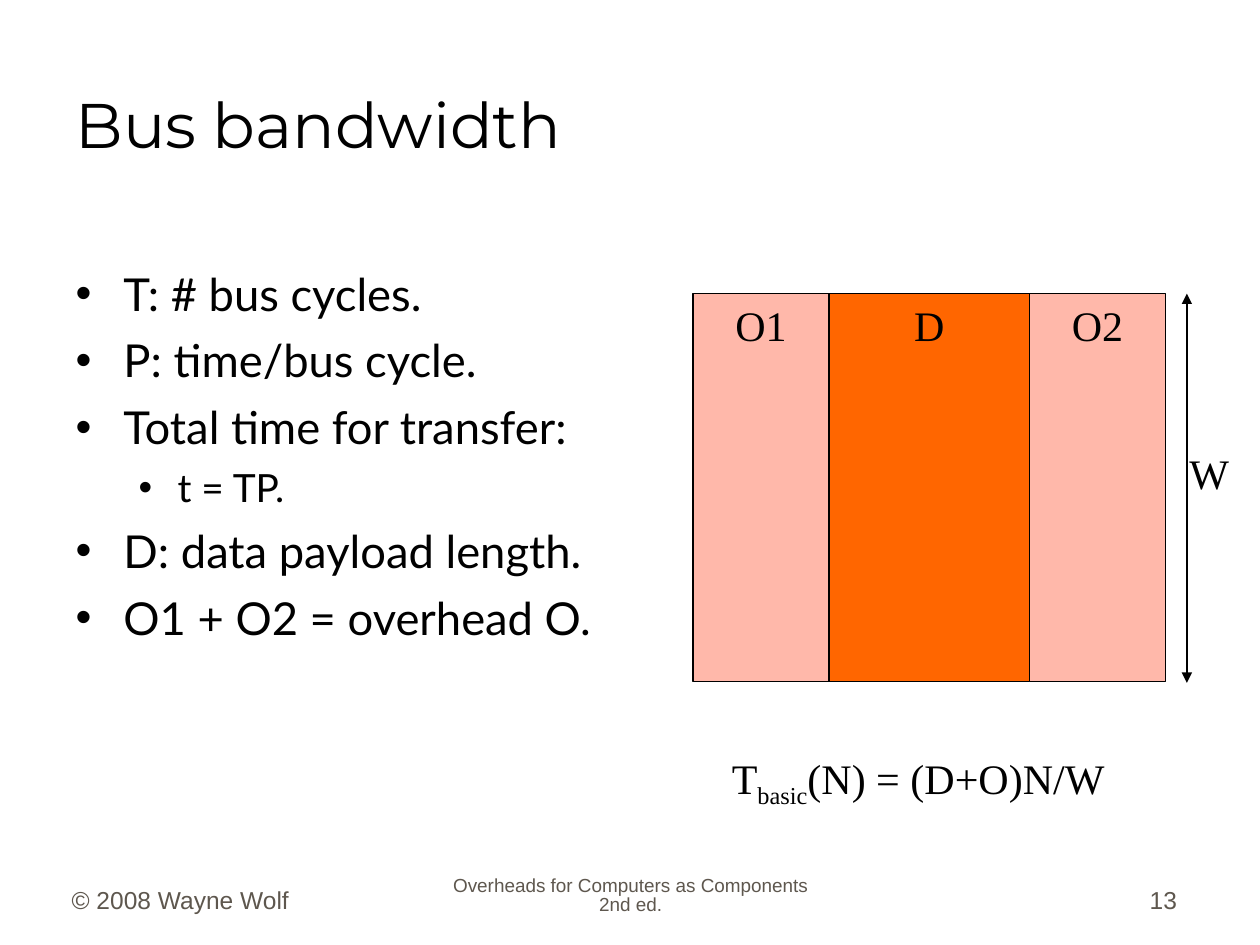
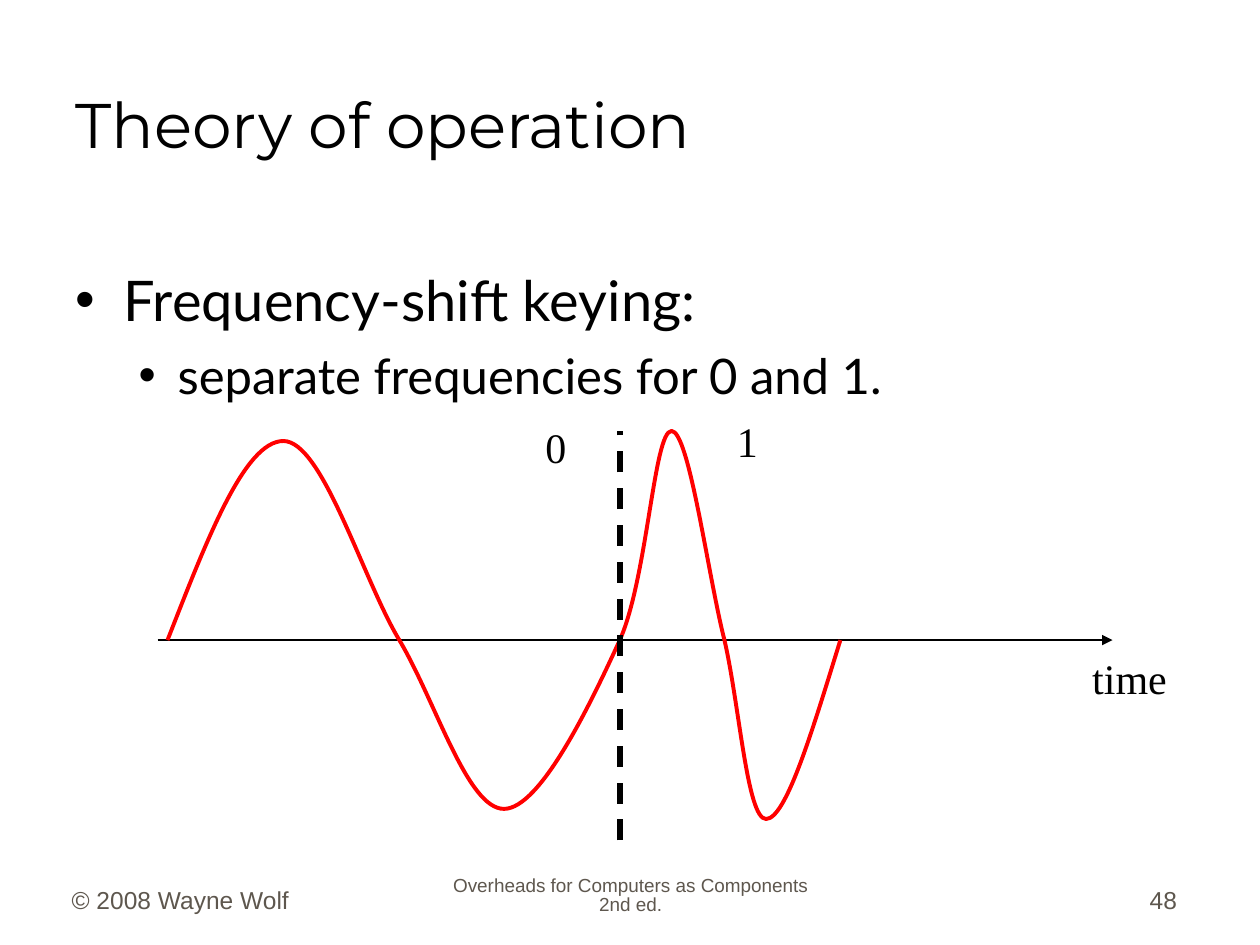
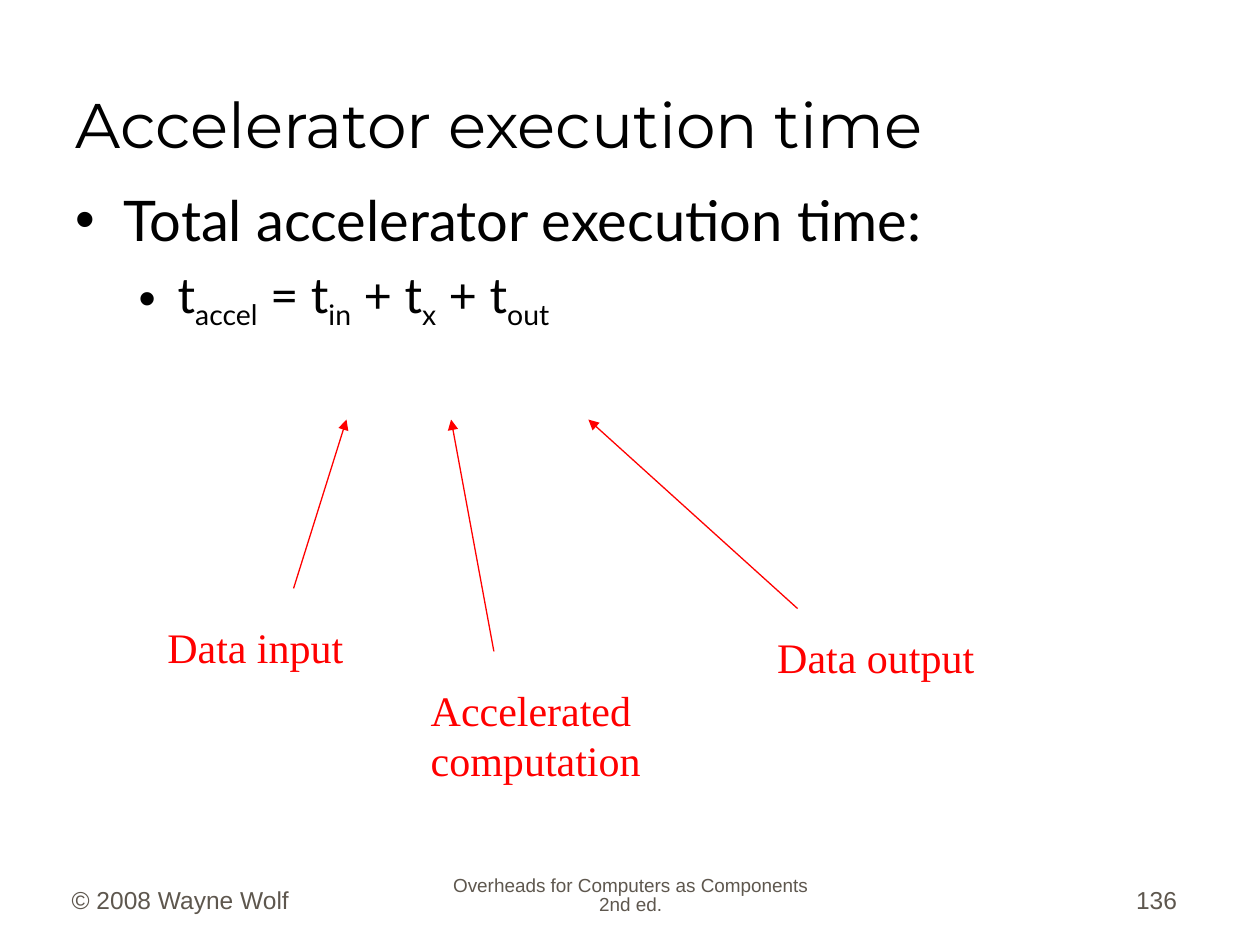
import pptx
import pptx.dml.color
import pptx.enum.dml
import pptx.enum.shapes
import pptx.enum.text
import pptx.oxml
import pptx.oxml.ns
import pptx.util

Inches = pptx.util.Inches
Pt = pptx.util.Pt
RGBColor = pptx.dml.color.RGBColor
ALIGN = pptx.enum.text.PP_ALIGN
ANCHOR = pptx.enum.text.MSO_ANCHOR
FIT = pptx.enum.text.MSO_AUTO_SIZE
qn = pptx.oxml.ns.qn

BLACK = RGBColor(0x00, 0x00, 0x00)
RED = RGBColor(0xFF, 0x00, 0x00)
FOOTER_GRAY = RGBColor(0x5E, 0x57, 0x4E)
OVERHEAD_PINK = RGBColor(0xFF, 0xB8, 0xAA)
DATA_ORANGE = RGBColor(0xFF, 0x66, 0x00)

TITLE_FONT = "Montserrat"
BODY_FONT = "Lato"
FOOTER_FONT = "Arial"
LABEL_FONT = "Times New Roman"
INDENTS = [(0.38, 0.38), (0.81, 0.31)]


def write(frame, lines, font=LABEL_FONT, sizes=(24,), color=BLACK, align=ALIGN.LEFT,
          anchor=ANCHOR.TOP, fit=FIT.NONE, wrap=True, bullets=False, gaps=(0,), spacing=None):
    frame.word_wrap = wrap
    frame.auto_size = fit
    frame.vertical_anchor = anchor
    for index, (level, text) in enumerate(lines):
        paragraph = frame.paragraphs[0] if index == 0 else frame.add_paragraph()
        paragraph.level = level
        paragraph.alignment = align
        paragraph.line_spacing = spacing
        paragraph.space_before = Pt(gaps[level] if index else 0)
        if bullets:
            left, hanging = INDENTS[level]
            properties = paragraph._p.get_or_add_pPr()
            properties.set("marL", str(Inches(left)))
            properties.set("indent", str(-Inches(hanging)))
            bullet = pptx.oxml.parse_xml(
                '<a:buChar xmlns:a="http://schemas.openxmlformats.org/drawingml/2006/main" char="•"/>')
            properties.append(bullet)
        for position, piece in enumerate(text.split("_")):
            if not piece:
                continue
            run = paragraph.add_run()
            run.text = piece
            run.font.name = font
            run.font.size = Pt(sizes[level])
            run.font.color.rgb = color
            if position % 2:
                run._r.get_or_add_rPr().set("baseline", "-25000")


def draw_line(slide, start, end, color=BLACK, width=0.75, arrows=("tailEnd",), dash=None):
    line = slide.shapes.add_connector(
        pptx.enum.shapes.MSO_CONNECTOR.STRAIGHT, *[Inches(value) for value in start + end])
    line.line.color.rgb = color
    line.line.width = Pt(width)
    if dash:
        line.line.dash_style = dash
    outline = line.line._get_or_add_ln()
    for arrow in arrows:
        outline.append(outline.makeelement(qn("a:" + arrow), {"type": "triangle"}))
    properties = line._element.spPr
    properties.append(properties.makeelement(qn("a:effectLst"), {}))


deck = pptx.Presentation()
deck.slide_width = Inches(10)
deck.slide_height = Inches(7.5)

topics = [
    ("Bus bandwidth", "13", (0.5, 2.06, 4.39, 4.56), (25.9, 22.2), (7, 6), [
        (0, "T: # bus cycles."),
        (0, "P: time/bus cycle."),
        (0, "Total time for transfer:"),
        (1, "t = TP."),
        (0, "D: data payload length."),
        (0, "O1 + O2 = overhead O."),
    ], [
        ("W", 9.34, 3.5, 0.51, 0.5, BLACK),
        ("T_basic_(N) = (D+O)N/W", 5.71, 5.92, 3.16, 0.56, BLACK),
    ]),
    ("Theory of operation", "48", (0.5, 2.06, 8.94, 1.27), (32, 28), (8, 7), [
        (0, "Frequency-shift keying:"),
        (1, "separate frequencies for 0 and 1."),
    ], [
        ("time", 8.57, 5.13, 0.79, 0.5, BLACK),
        ("0", 4.23, 3.3, 0.36, 0.5, BLACK),
        ("1", 5.75, 3.25, 0.36, 0.5, BLACK),
    ]),
    ("Accelerator execution time", "136", (0.5, 1.42, 8.94, 5.21), (32, 28), (8, 7), [
        (0, "Total accelerator execution time:"),
        (1, "t_accel_ = t_in_ + t_x_ + t_out_"),
    ], [
        ("Data input", 1.23, 4.88, 1.64, 0.5, RED),
        ("Accelerated\ncomputation", 3.32, 5.38, 1.92, 0.9, RED),
        ("Data output", 6.07, 4.96, 1.82, 0.5, RED),
    ]),
]

slides = []
for heading, number, body_area, sizes, gaps, points, labels in topics:
    slide = deck.slides.add_slide(deck.slide_layouts[1])
    slides.append(slide)
    title = slide.shapes.title
    body = slide.placeholders[1]
    for holder, area in [(title, (0.5, 0.25, 8.92, 1.08)), (body, body_area)]:
        holder.left, holder.top, holder.width, holder.height = [Inches(value) for value in area]
    write(title.text_frame, [(0, heading)], font=TITLE_FONT, sizes=(36,), anchor=ANCHOR.BOTTOM)
    write(body.text_frame, points, font=BODY_FONT, sizes=sizes, gaps=gaps, bullets=True)

    for text, left, width, size, align, spacing in [
        ("© 2008 Wayne Wolf", 0.47, 2.08, 14, ALIGN.LEFT, None),
        ("Overheads for Computers as Components 2nd ed.", 3.42, 3.17, 10.8, ALIGN.CENTER, 0.8),
        (number, 7.36, 2.08, 14, ALIGN.RIGHT, None),
    ]:
        footer = slide.shapes.add_textbox(Inches(left), Inches(6.81), Inches(width), Inches(0.5))
        write(footer.text_frame, [(0, text)], font=FOOTER_FONT, sizes=(size,), color=FOOTER_GRAY,
              align=align, anchor=ANCHOR.BOTTOM, spacing=spacing)

    for text, left, top, width, height, color in labels:
        label = slide.shapes.add_textbox(Inches(left), Inches(top), Inches(width), Inches(height))
        write(label.text_frame, [(0, line) for line in text.split("\n")], color=color,
              fit=FIT.SHAPE_TO_FIT_TEXT, wrap=False)

bandwidth, keying, accelerator = slides

segment_left = 5.5
for name, width, color in [("O1", 1.08, OVERHEAD_PINK), ("D", 1.59, DATA_ORANGE), ("O2", 1.08, OVERHEAD_PINK)]:
    segment = bandwidth.shapes.add_shape(
        pptx.enum.shapes.MSO_SHAPE.RECTANGLE,
        Inches(segment_left), Inches(2.33), Inches(width), Inches(3.08))
    segment.shadow.inherit = False
    segment.fill.solid()
    segment.fill.fore_color.rgb = color
    segment.line.color.rgb = BLACK
    segment.line.width = Pt(0.75)
    write(segment.text_frame, [(0, name)], align=ALIGN.CENTER)
    segment_left += width
draw_line(bandwidth, (9.42, 2.33), (9.42, 5.42), arrows=("headEnd", "tailEnd"))

draw_line(keying, (1.25, 5.08), (8.83, 5.08))
wave_points = [
    (1.64, 4.29), (1.94, 3.5), (2.25, 3.5),
    (2.56, 3.5), (2.88, 4.6), (3.17, 5.08),
    (3.46, 5.57), (3.71, 6.42), (4, 6.42),
    (4.29, 6.42), (4.69, 5.58), (4.92, 5.08),
    (5.14, 4.58), (5.19, 3.42), (5.33, 3.42),
    (5.47, 3.42), (5.62, 4.57), (5.75, 5.08),
    (5.87, 5.6), (5.93, 6.5), (6.08, 6.5),
    (6.24, 6.5), (6.45, 5.79), (6.67, 5.08),
]
builder = keying.shapes.build_freeform(Inches(1.33), Inches(5.08))
builder.add_line_segments([(Inches(x), Inches(y)) for x, y in wave_points], close=False)
wave = builder.convert_to_shape()
wave.shadow.inherit = False
wave.fill.background()
wave.line.color.rgb = RED
wave.line.width = Pt(2.25)
steps = list(wave._element.iter(qn("a:lnTo")))
for first in range(0, len(steps), 3):
    curve = steps[first]
    curve.tag = qn("a:cubicBezTo")
    for step in steps[first + 1:first + 3]:
        curve.append(step[0])
        step.getparent().remove(step)
draw_line(keying, (4.92, 6.67), (4.92, 3.42), width=3, arrows=(),
          dash=pptx.enum.dml.MSO_LINE.DASH)

for start, end in [((2.33, 4.67), (2.75, 3.33)), ((3.92, 5.17), (3.58, 3.33)), ((6.33, 4.83), (4.67, 3.33))]:
    draw_line(accelerator, start, end, color=RED)

deck.save("out.pptx")
